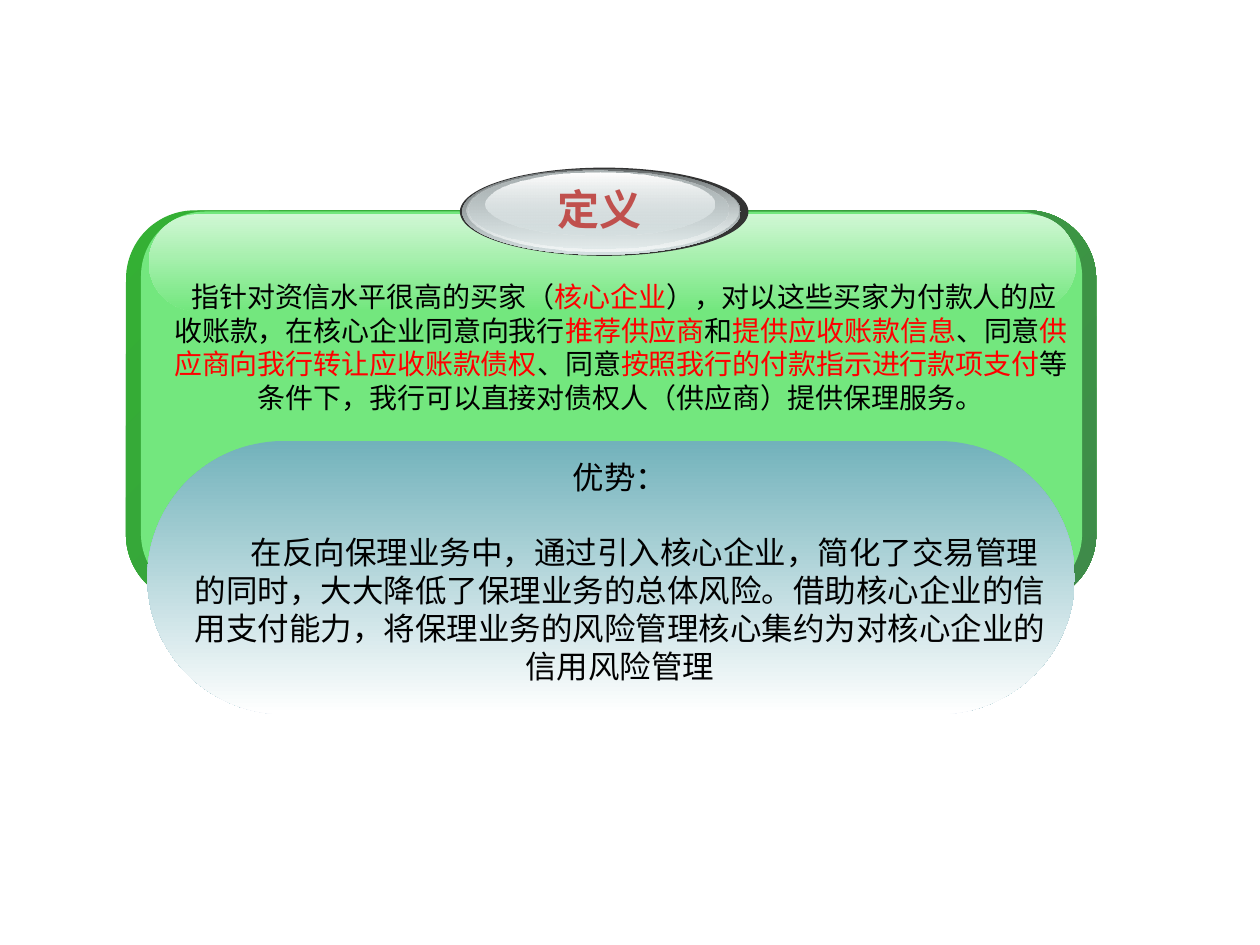
from lxml.etree import SubElement
from pptx import Presentation
from pptx.dml.color import RGBColor
from pptx.enum.shapes import MSO_SHAPE
from pptx.enum.text import PP_ALIGN
from pptx.oxml.ns import qn
from pptx.util import Pt

BLACK = RGBColor(0x00, 0x00, 0x00)
WHITE = RGBColor(0xFF, 0xFF, 0xFF)
RED = RGBColor(0xFF, 0x00, 0x00)
BRICK = RGBColor(0xC0, 0x50, 0x4D)
GREEN = RGBColor(0x73, 0xE7, 0x7E)
PALE_GREEN = RGBColor(0xD0, 0xF7, 0xD4)
LEAF = RGBColor(0x34, 0xB0, 0x34)
FOREST = RGBColor(0x3F, 0x8B, 0x4A)
TEAL = RGBColor(0x72, 0xB2, 0xBB)
CHARCOAL = RGBColor(0x33, 0x33, 0x33)
SLATE = RGBColor(0x63, 0x68, 0x69)
GREY = RGBColor(0xAA, 0xB2, 0xB3)
SILVER = RGBColor(0xD6, 0xE1, 0xE2)
MIST = RGBColor(0xF1, 0xF5, 0xF5)

CJK_FONT = "Noto Sans CJK SC"
TITLE = {"size": Pt(24), "name": "Arial", "bold": True}
DEFINITION = {"size": Pt(16), "name": CJK_FONT}
ADVANTAGE = {"size": Pt(18), "name": CJK_FONT}
LINE_RATIO = 1.2

DEFINITION_TEXT = (
    "指针对资信水平很高的买家（|核心企业|），对以这些买家为付款人的应收账款，"
    "在核心企业同意向我行|推荐供应商|和|提供应收账款信息|、同意|"
    "供应商向我行转让应收账款债权|、同意|按照我行的付款指示进行款项支付|"
    "等条件下，我行可以直接对债权人（供应商）提供保理服务。"
)
ADVANTAGE_TEXT = (
    "在反向保理业务中，通过引入核心企业，简化了交易管理的同时，"
    "大大降低了保理业务的总体风险。借助核心企业的信用支付能力，"
    "将保理业务的风险管理核心集约为对核心企业的信用风险管理"
)


def inset(box, left, top, width, height):
    """Return a box of the given size, offset from the corner of another."""
    return box[0] + left, box[1] + top, width, height


def add_body(page, kind, box, colors, angle=90, alphas=(100, 100), corner=None):
    """Add a borderless shape with a solid or two-stop gradient fill."""
    shape = page.shapes.add_shape(kind, *map(Pt, box))
    shape.shadow.inherit = False
    shape.line.fill.background()
    if corner is not None:
        shape.adjustments[0] = corner
    if len(colors) == 1:
        shape.fill.solid()
        shape.fill.fore_color.rgb = colors[0]
        return
    shape.fill.gradient()
    shape.fill.gradient_angle = 360 - angle
    for stop, color in zip(shape.fill.gradient_stops, colors):
        stop.color.rgb = color
    tints = shape.element.spPr.iter(qn("a:srgbClr"))
    for tint, alpha in zip(tints, alphas):
        if alpha < 100:
            SubElement(tint, qn("a:alpha"), val=str(alpha * 1000))


def add_text(page, box):
    """Add a wrapping text box and return its frame."""
    frame = page.shapes.add_textbox(*map(Pt, box)).text_frame
    frame.word_wrap = True
    return frame


def fill_para(para, text, font, colors, indent=0, before=0):
    """Write centred text whose parts, split by bars, alternate in colour."""
    layout = {
        "alignment": PP_ALIGN.CENTER,
        "line_spacing": Pt(font["size"].pt * LINE_RATIO),
        "space_before": Pt(before),
    }
    for name, value in layout.items():
        setattr(para, name, value)
    if indent:
        para._p.get_or_add_pPr().set("indent", str(Pt(indent)))
    for index, part in enumerate(text.split("|")):
        span = para.add_run()
        span.text = part
        for name, value in font.items():
            setattr(span.font, name, value)
        span.font.color.rgb = colors[index % len(colors)]
        SubElement(span.font._element, qn("a:ea"), typeface=CJK_FONT)


def add_definition_panel(page, box):
    """Draw the glossy green panel with the definition."""
    rounded = MSO_SHAPE.ROUNDED_RECTANGLE
    add_body(page, rounded, box, (LEAF, FOREST), angle=45, corner=0.175)
    add_body(page, rounded, inset(box, 8.6, 0.7, 537.8, 221), (GREEN,), corner=0.167)
    add_body(page, rounded, inset(box, 13, 2.2, 530, 55.4), (PALE_GREEN, GREEN), corner=0.5)
    frame = add_text(page, inset(box, 19.4, 36, 527, 84.2))
    fill_para(frame.paragraphs[0], DEFINITION_TEXT, DEFINITION, (BLACK, RED), indent=3.6)


def add_badge(page, box):
    """Draw the silver oval badge with the heading."""
    layers = [
        ((0, 0, 164.9, 50.4), (CHARCOAL,), (100,)),
        ((1.4, 0.7, 159.1, 49), (SLATE, SILVER), (100, 100)),
        ((3.6, 0.7, 155.5, 47.5), (SILVER, MIST), (0, 100)),
        ((5, 1.4, 148.3, 44.6), (GREY, SILVER), (100, 48)),
        ((14.4, 2.9, 131, 36), (WHITE, SILVER), (100, 38)),
    ]
    for place, colors, alphas in layers:
        add_body(page, MSO_SHAPE.OVAL, inset(box, *place), colors, alphas=alphas)
    frame = add_text(page, inset(box, 47, 5.8, 66, 36))
    fill_para(frame.paragraphs[0], "定义", TITLE, (BRICK,))


def add_advantage_panel(page, box):
    """Draw the teal panel with the advantages."""
    add_body(page, MSO_SHAPE.ROUNDED_RECTANGLE, box, (TEAL, WHITE), corner=0.5)
    frame = add_text(page, inset(box, 18, 6, 504, 136.8))
    fill_para(frame.paragraphs[0], "优势：", ADVANTAGE, (BLACK,))
    fill_para(frame.add_paragraph(), ADVANTAGE_TEXT, ADVANTAGE, (BLACK,), indent=28, before=21.6)


def main():
    """Build the deck and save it."""
    deck = Presentation()
    deck.slide_width, deck.slide_height = Pt(720), Pt(540)
    page = deck.slides.add_slide(deck.slide_layouts[6])
    add_definition_panel(page, (72, 120.2, 554.4, 224.6))
    add_badge(page, (262.8, 95.8, 164.9, 50.4))
    add_advantage_panel(page, (84.2, 252, 530, 156.2))
    deck.save("out.pptx")


if __name__ == "__main__":
    main()
